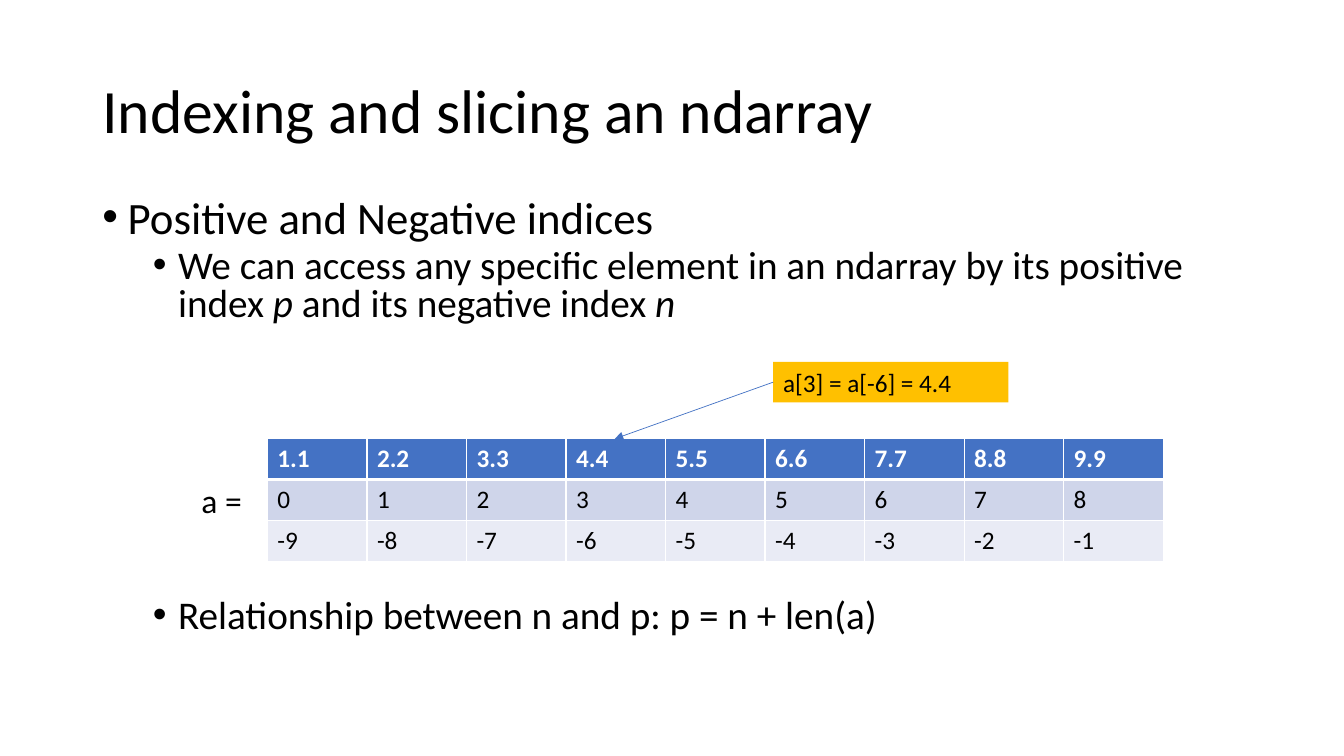
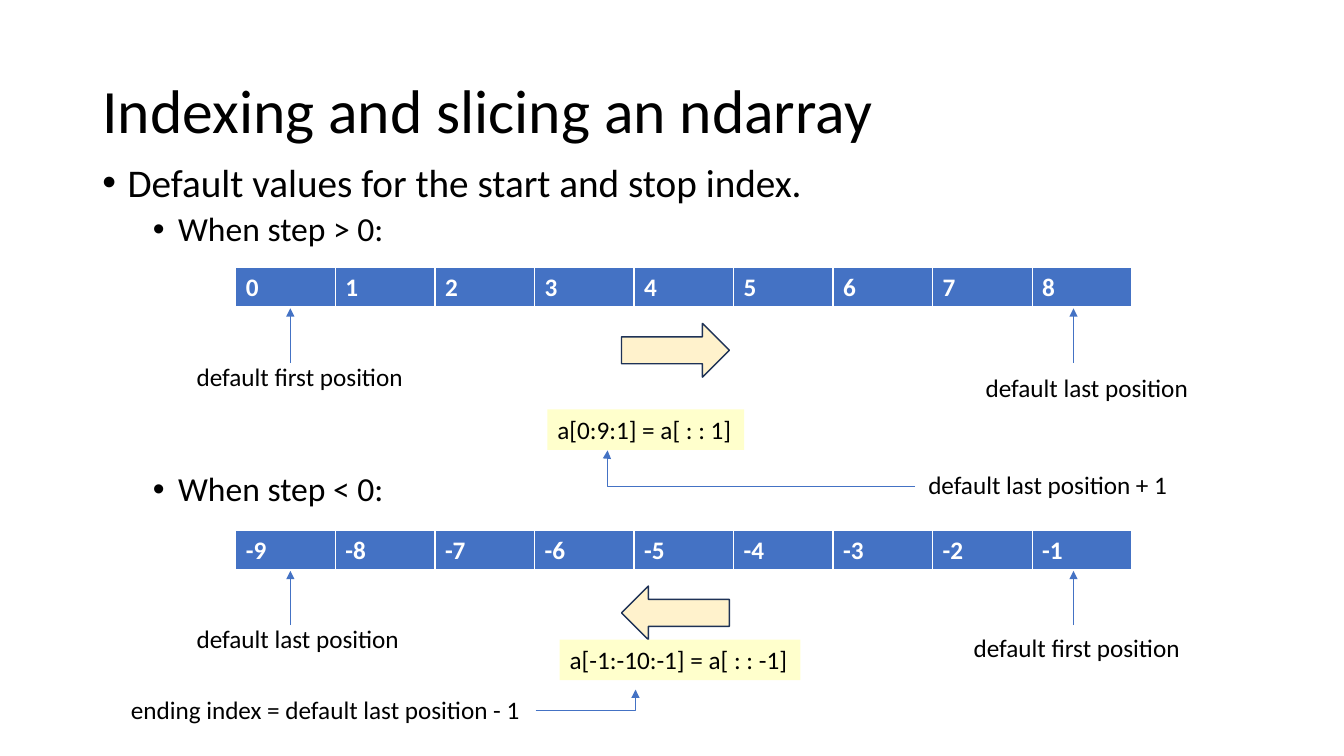
from dataclasses import dataclass
from lxml.etree import SubElement as Sub
from pptx import Presentation
from pptx.dml.color import RGBColor as RGB
from pptx.enum.shapes import MSO_CONNECTOR as Link, MSO_SHAPE as Form
from pptx.enum.text import MSO_ANCHOR as Anchor, MSO_AUTO_SIZE as Fit, PP_ALIGN as Align
from pptx.oxml.ns import qn
from pptx.slide import Slide
from pptx.util import Pt

FONT = "Calibri"
TITLE = "Indexing and slicing an ndarray"
COLORS = {
    "text": "000000",
    "white": "FFFFFF",
    "blue": "4472C4",
    "band": "CFD5EA",
    "pale": "E9EBF5",
    "gold": "FFC000",
    "lemon": "FFFFCC",
    "cream": "FFF2CC",
    "navy": "1E3256",
}
FILLS = ("blue", "band", "pale")
CELL_W, CELL_H = 71.11, 29.2


@dataclass
class Item:
    words: tuple[str, ...]
    size: float
    level: int = 1
    before: float = 5


@dataclass
class Label:
    left: float
    top: float
    width: float
    text: str
    fill: str = ""
    size: float = 18
    wrap: bool = False


@dataclass
class Arrow:
    start: tuple[float, float]
    end: tuple[float, float]
    bend: int = 0


@dataclass
class Strip:
    top: float
    first: int
    form: Form


def color(name: str) -> RGB:
    return RGB.from_string(COLORS[name])


def style(font, size: float, name: str = "text", bold: bool = False) -> None:
    font.name, font.size, font.bold = FONT, Pt(size), bold
    font.color.rgb = color(name)


def place(shape, left: float, top: float, width: float, height: float) -> None:
    shape.left, shape.top = Pt(left), Pt(top)
    shape.width, shape.height = Pt(width), Pt(height)


def add_page(deck, top: float, width: float, pitch: float, items: list[Item]) -> Slide:
    slide = deck.slides.add_slide(deck.slide_layouts[1])
    title, body = slide.placeholders
    place(title, 66, 28.75, 828, 104.4)
    title.text_frame.text = TITLE
    title.text_frame.vertical_anchor = Anchor.MIDDLE
    head = title.text_frame.paragraphs[0]
    head.alignment, head.line_spacing = Align.LEFT, 0.9
    style(head.runs[0].font, 44)
    place(body, 66, top, width, 342.6)
    frame = body.text_frame
    frame.auto_size = Fit.NONE
    for index, item in enumerate(items):
        para = frame.add_paragraph() if index else frame.paragraphs[0]
        para.level = item.level
        props = para._p.get_or_add_pPr()
        props.set("marL", str(Pt(18 + 36 * item.level)))
        props.set("indent", str(-Pt(18)))
        Sub(props, qn("a:buFont"), typeface="Arial")
        Sub(props, qn("a:buChar"), char="•")
        para.line_spacing = pitch
        para.space_before = Pt(item.before)
        for order, text in enumerate(item.words):
            run = para.add_run()
            run.text = text
            style(run.font, item.size)
            run.font.italic = order % 2 == 1
    return slide


def add_grid(slide: Slide, left: float, top: float, rows: list[list[str]]) -> None:
    high, wide = len(rows), len(rows[0])
    grid = slide.shapes.add_table(
        high, wide, Pt(left), Pt(top), Pt(CELL_W * wide), Pt(CELL_H * high)
    ).table
    grid.horz_banding = False
    for row, texts in enumerate(rows):
        grid.rows[row].height = Pt(CELL_H)
        for col, text in enumerate(texts):
            cell = grid.cell(row, col)
            cell.text_frame.text = text
            run = cell.text_frame.paragraphs[0].runs[0]
            style(run.font, 18, "text" if row else "white", not row)
            props = cell._tc.get_or_add_tcPr()
            for side in "LRTB":
                thick = (side == "B" and row == 0) or (side == "T" and row == 1)
                line = Sub(props, qn("a:ln" + side), w=str(Pt(3 if thick else 1)))
                Sub(Sub(line, qn("a:solidFill")), qn("a:srgbClr"), val=COLORS["white"])
            cell.fill.solid()
            cell.fill.fore_color.rgb = color(FILLS[row])


def add_label(slide: Slide, label: Label) -> None:
    height = label.size * 1.2 + 7.4
    box = slide.shapes.add_textbox(
        Pt(label.left), Pt(label.top), Pt(label.width), Pt(height)
    )
    if label.fill:
        box.fill.solid()
        box.fill.fore_color.rgb = color(label.fill)
    frame = box.text_frame
    frame.text = label.text
    frame.word_wrap = label.wrap
    frame.auto_size = Fit.SHAPE_TO_FIT_TEXT
    style(frame.paragraphs[0].runs[0].font, label.size)


def add_arrow(slide: Slide, arrow: Arrow) -> None:
    kind = Link.ELBOW if arrow.bend else Link.STRAIGHT
    ends = [Pt(value) for value in arrow.start + arrow.end]
    line = slide.shapes.add_connector(kind, *ends)
    line.line.color.rgb = color("blue")
    line.line.width = Pt(0.5)
    props = line._element.spPr
    Sub(props.find(qn("a:ln")), qn("a:tailEnd"), type="triangle")
    Sub(props, qn("a:effectLst"))
    if arrow.bend:
        guides = props.find(qn("a:prstGeom")).find(qn("a:avLst"))
        Sub(guides, qn("a:gd"), name="adj1", fmla=f"val {arrow.bend}")


def add_strip(slide: Slide, strip: Strip) -> None:
    top = strip.top
    add_grid(slide, 168.5, top, [[str(strip.first + step) for step in range(9)]])
    block = slide.shapes.add_shape(strip.form, Pt(444), Pt(top + 40), Pt(77), Pt(38.4))
    block.shadow.inherit = False
    block.fill.solid()
    block.fill.fore_color.rgb = color("cream")
    block.line.color.rgb = color("navy")
    block.line.width = Pt(1)
    for left in (207.4, 766.8):
        add_arrow(slide, Arrow((left, top + 68), (left, top + 29.2)))


def draw_signs(deck) -> None:
    slide = add_page(deck, 139, 798, 0.8, [
        Item(("Positive and Negative indices",), 32, 0, 0),
        Item((
            "We can access any specific element in an ndarray by its positive index ",
            "p ", "and its negative index ", "n",
        ), 28),
        Item(("Relationship between n and p: p = n + len(a)",), 28, before=196),
    ])
    add_grid(slide, 191, 313.4, [
        [f"{step}.{step}" for step in range(1, 10)],
        [str(step) for step in range(9)],
        [str(step) for step in range(-9, 0)],
    ])
    add_label(slide, Label(552.3, 258.5, 168, "a[3] = a[-6] = 4.4", "gold", wrap=True))
    add_label(slide, Label(136.8, 339.4, 44, "a =", size=24))
    add_arrow(slide, Arrow((552.3, 273), (439.2, 313.4)))


def draw_steps(deck) -> None:
    slide = add_page(deck, 113, 751, 0.9, [
        Item(("Default values for the start and stop index.",), 28, 0, 0),
        Item(("When step > 0:",), 24),
        Item(("When step < 0:",), 24, before=160),
    ])
    for strip in (
        Strip(191, 0, Form.RIGHT_ARROW),
        Strip(378.6, -9, Form.LEFT_ARROW),
    ):
        add_strip(slide, strip)
    for label in (
        Label(133.4, 254.4, 163.4, "default first position"),
        Label(697, 262.2, 160.6, "default last position"),
        Label(133.4, 441.6, 160.6, "default last position"),
        Label(688.4, 448, 163.4, "default first position"),
        Label(391, 292.4, 140.6, "a[0:9:1] = a[ : : 1]", "lemon"),
        Label(656, 331.4, 187.2, "default last position + 1"),
        Label(399.8, 456.8, 172, "a[-1:-10:-1] = a[ : : -1]", "lemon"),
        Label(86.4, 492.6, 296, "ending index = default last position - 1"),
    ):
        add_label(slide, label)
    add_arrow(slide, Arrow((653.6, 347.2), (434, 321.8), 100200))
    add_arrow(slide, Arrow((382.6, 507.2), (454, 492.6), 99900))


def main() -> None:
    deck = Presentation()
    deck.slide_width, deck.slide_height = Pt(960), Pt(540)
    draw_signs(deck)
    draw_steps(deck)
    deck.save("out.pptx")


if __name__ == "__main__":
    main()
